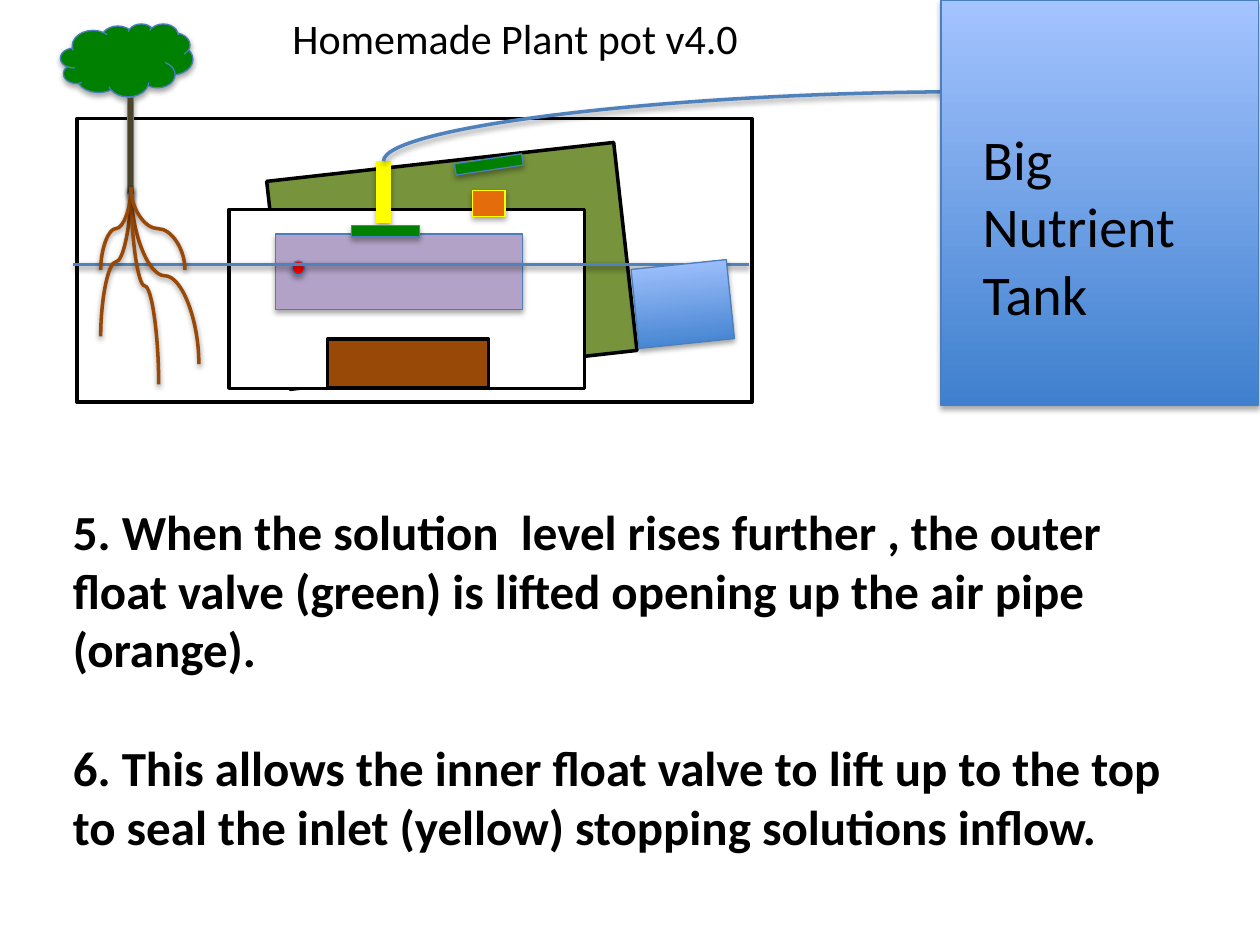
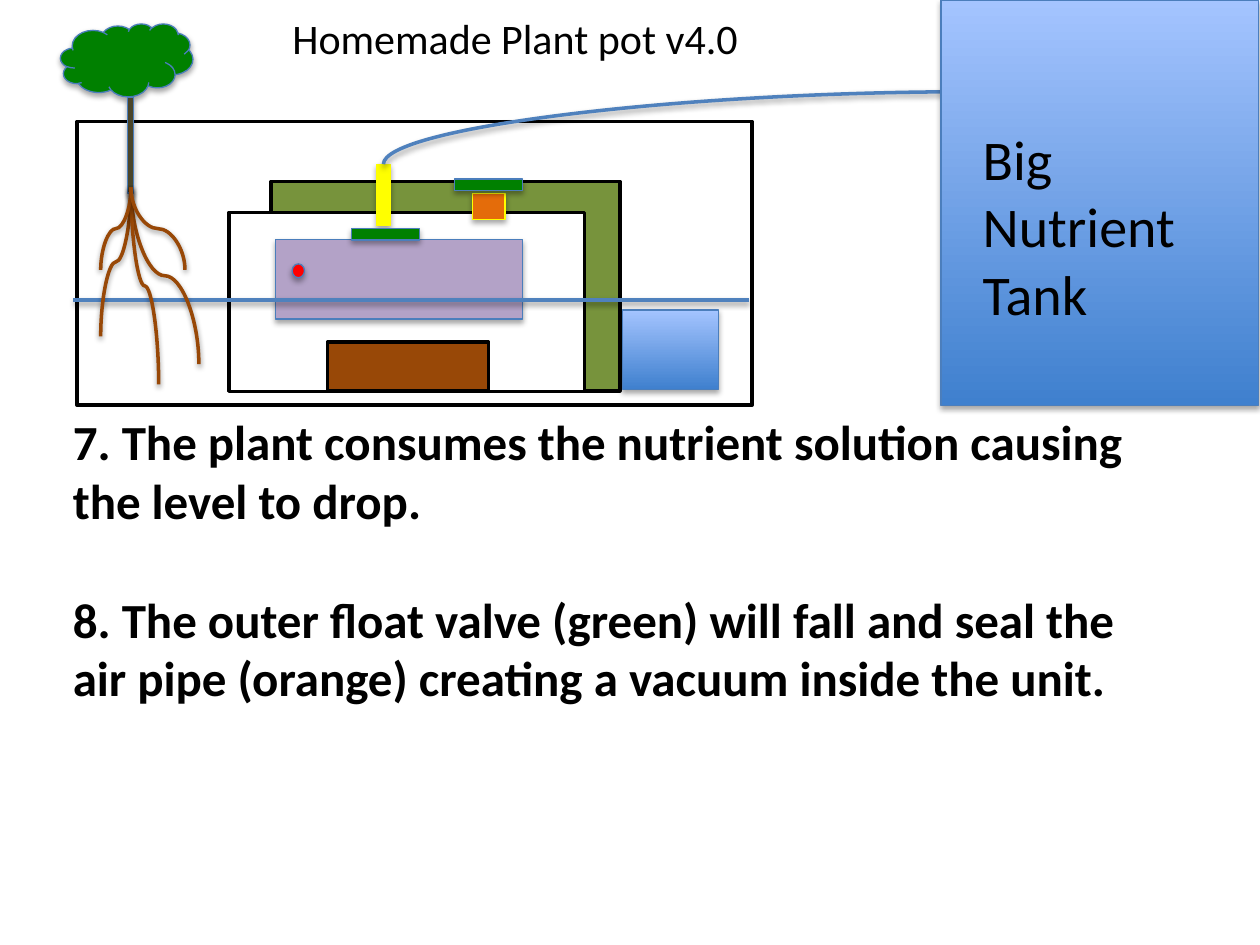
from dataclasses import dataclass
from math import cos, radians, sin

from lxml import etree
from pptx import Presentation
from pptx.dml.color import RGBColor
from pptx.enum.shapes import MSO_CONNECTOR, MSO_SHAPE
from pptx.enum.text import MSO_ANCHOR, MSO_AUTO_SIZE, PP_ALIGN
from pptx.oxml.ns import qn
from pptx.util import Cm, Pt

RECTANGLE, OVAL, CLOUD = MSO_SHAPE.RECTANGLE, MSO_SHAPE.OVAL, MSO_SHAPE.CLOUD
STRAIGHT, CURVE = MSO_CONNECTOR.STRAIGHT, MSO_CONNECTOR.CURVE
TOP, LEFT, NO_FIT = MSO_ANCHOR.TOP, PP_ALIGN.LEFT, MSO_AUTO_SIZE.NONE

FONT = "Calibri"
BLACK, WHITE, RED, YELLOW = "000000", "FFFFFF", "FF0000", "FFFF00"
GREEN, OLIVE, BROWN, BARK = "008000", "77933C", "984807", "4A452A"
LILAC, ORANGE = "B3A2C7", "E46C0A"
OUTLINE, WATER = "4B7EBC", "4F81BD"
TANK_STOPS = ("3F80CE", "A4C4FF")
TITLE_ONLY = 5

Point = tuple[float, float]
Box = tuple[float, float, float, float]


@dataclass
class Part:
    box: Box
    fill: str | tuple[str, str]
    line: str = OUTLINE
    line_width: float = 0.75
    shadow: bool = True
    rotation: float = 0
    kind: int = RECTANGLE


@dataclass
class Stage:
    steps: list[str]
    steps_top: float
    pot_shift: float
    bell: Point
    bell_rotation: float
    flap_top: float
    flap_rotation: float
    float_top: float
    float_height: float
    water_level: float
    weight: Point
    weight_rotation: float


STAGES = [
    Stage(
        steps=[
            "5. When the solution  level rises further , the outer float valve "
            "(green) is lifted opening up the air pipe (orange).",
            "6. This allows the inner float valve to lift up to the top to seal "
            "the inlet (yellow) stopping solutions inflow.",
        ],
        steps_top=9.98, pot_shift=0,
        bell=(5.59, 3.25), bell_rotation=-6.4,
        flap_top=3.2, flap_rotation=-8.5,
        float_top=4.72, float_height=1.52,
        water_level=5.33,
        weight=(12.8, 5.33), weight_rotation=-5.9,
    ),
    Stage(
        steps=[
            "7. The plant consumes the nutrient solution causing the level to drop.",
            "8. The outer float valve (green) will fall and seal the air pipe "
            "(orange) creating a vacuum inside the unit.",
        ],
        steps_top=8.18, pot_shift=0.06,
        bell=(5.46, 3.66), bell_rotation=0,
        flap_top=3.61, flap_rotation=0,
        float_top=4.83, float_height=1.6,
        water_level=6.05,
        weight=(12.55, 6.25), weight_rotation=0,
    ),
]

ROOT_START = (2.64, 3.78)
ROOT_TIPS = [(2.03, 6.78), (4.01, 7.34), (3.2, 7.75), (2.03, 5.44), (3.73, 5.44)]


def colour(value: str) -> RGBColor:
    return RGBColor.from_string(value)


def set_effects(shape, distance: int = 0, opacity: int = 0) -> None:
    effects = etree.SubElement(shape._element.spPr, qn("a:effectLst"))
    if opacity:
        shadow = etree.SubElement(
            effects, qn("a:outerShdw"), blurRad="40000", dist=str(distance),
            dir="5400000", rotWithShape="0",
        )
        tint = etree.SubElement(shadow, qn("a:srgbClr"), val=BLACK)
        etree.SubElement(tint, qn("a:alpha"), val=str(opacity * 1000))


def add_part(slide, part: Part) -> None:
    shape = slide.shapes.add_shape(part.kind, *map(Cm, part.box))
    shape.rotation = part.rotation
    if isinstance(part.fill, tuple):
        shape.fill.gradient()
        shape.fill.gradient_angle = 90
        for position, (stop, value) in enumerate(zip(shape.fill.gradient_stops, part.fill)):
            stop.position = position
            stop.color.rgb = colour(value)
    else:
        shape.fill.solid()
        shape.fill.fore_color.rgb = colour(part.fill)
    shape.line.color.rgb = colour(part.line)
    shape.line.width = Pt(part.line_width)
    set_effects(shape, 23000, 35 if part.shadow else 0)


def add_line(slide, begin: Point, end: Point, line: str, kind: int = STRAIGHT):
    connector = slide.shapes.add_connector(kind, *map(Cm, begin + end))
    connector.line.color.rgb = colour(line)
    connector.line.width = Pt(2)
    set_effects(connector, 20000, 38)
    return connector


def add_curve(slide, begin: Point, end: Point, line: str, rotation: int):
    centre_x, centre_y = (begin[0] + end[0]) / 2, (begin[1] + end[1]) / 2
    turn = radians(-rotation)

    def unrotate(point: Point) -> Point:
        x, y = point[0] - centre_x, point[1] - centre_y
        return (centre_x + x * cos(turn) - y * sin(turn),
                centre_y + x * sin(turn) + y * cos(turn))

    connector = add_line(slide, unrotate(begin), unrotate(end), line, CURVE)
    connector._element.spPr.find(qn("a:xfrm")).set("rot", str(rotation * 60000))
    return connector


def write_text(shape, box: Box, paragraphs: list[str], size: int,
               bold: bool = False, wrap: bool = True) -> None:
    shape.left, shape.top, shape.width, shape.height = map(Cm, box)
    frame = shape.text_frame
    frame.text = "\n".join(paragraphs)
    frame.word_wrap = wrap
    frame.auto_size = NO_FIT
    frame.vertical_anchor = TOP
    for index, paragraph in enumerate(frame.paragraphs):
        paragraph.alignment = LEFT
        paragraph.space_before = Pt(34 if index else 0)
        paragraph.font.name = FONT
        paragraph.font.size = Pt(size)
        paragraph.font.bold = bold
        paragraph.font.color.rgb = colour(BLACK)


def add_text(slide, box: Box, paragraphs: list[str], size: int, bold: bool = False) -> None:
    write_text(slide.shapes.add_textbox(*map(Cm, box)), box, paragraphs, size, bold)


def framed(box: Box, fill: str, rotation: float = 0) -> Part:
    return Part(box, fill, BLACK, 2, False, rotation)


def draw_pot(slide, stage: Stage) -> None:
    shift = stage.pot_shift
    parts = [
        framed((1.55, 2.39 + shift, 13.61, 5.72), WHITE),
        framed((*stage.bell, 7.04, 4.22), OLIVE, stage.bell_rotation),
        framed((4.62, 4.22 + shift, 7.16, 3.61), WHITE),
        framed((6.6, 6.84 + shift, 3.25, 0.97), BROWN),
        Part((5.56, stage.float_top, 4.98, stage.float_height), LILAC),
        Part((7.59, 3.25 + shift, 0.28, 1.24), YELLOW, YELLOW),
        Part((9.52, 3.84 + shift, 0.66, 0.53), ORANGE, YELLOW),
        Part((9.17, stage.flap_top, 1.37, 0.23), GREEN, rotation=stage.flap_rotation),
        Part((7.09, 4.55 + shift, 1.37, 0.23), GREEN),
        Part((5.89, 5.26 + shift, 0.25, 0.28), RED, kind=OVAL),
    ]
    for part in parts:
        add_part(slide, part)
    add_line(slide, (1.48, stage.water_level), (15.09, stage.water_level), WATER)
    add_part(slide, Part((*stage.weight, 1.93, 1.6), TANK_STOPS,
                         rotation=stage.weight_rotation))


def draw_tank(slide, inlet_top: float) -> None:
    hose = add_curve(slide, (19.58, 1.85), (7.73, inlet_top), WATER, 180)
    hose._element.spPr.find(qn("a:prstGeom")).set("prst", "curvedConnector2")
    add_part(slide, Part((18.97, 0, 6.4, 8.18), TANK_STOPS))
    add_text(slide, (19.56, 2.39, 5.82, 4.37), ["Big Nutrient Tank"], 32)


def draw_plant(slide) -> None:
    add_part(slide, Part((1.22, 0.48, 2.67, 1.47), GREEN, kind=CLOUD))
    add_part(slide, Part((2.57, 1.96, 0.13, 1.93), BARK))
    for tip in ROOT_TIPS:
        add_curve(slide, ROOT_START, tip, BROWN, 90 if tip[0] < ROOT_START[0] else 270)


def build_slide(presentation, stage: Stage) -> None:
    slide = presentation.slides.add_slide(presentation.slide_layouts[TITLE_ONLY])
    write_text(slide.shapes.title, (5.64, 0.13, 9.5, 1.27),
               ["Homemade Plant pot v4.0"], 24, wrap=False)
    add_text(slide, (1.22, stage.steps_top, 22.78, 7.44), stage.steps, 28, bold=True)
    draw_pot(slide, stage)
    draw_tank(slide, 3.25 + stage.pot_shift)
    draw_plant(slide)


def main() -> None:
    presentation = Presentation()
    presentation.slide_width, presentation.slide_height = Cm(25.4), Cm(19.05)
    for stage in STAGES:
        build_slide(presentation, stage)
    presentation.save("out.pptx")


if __name__ == "__main__":
    main()
